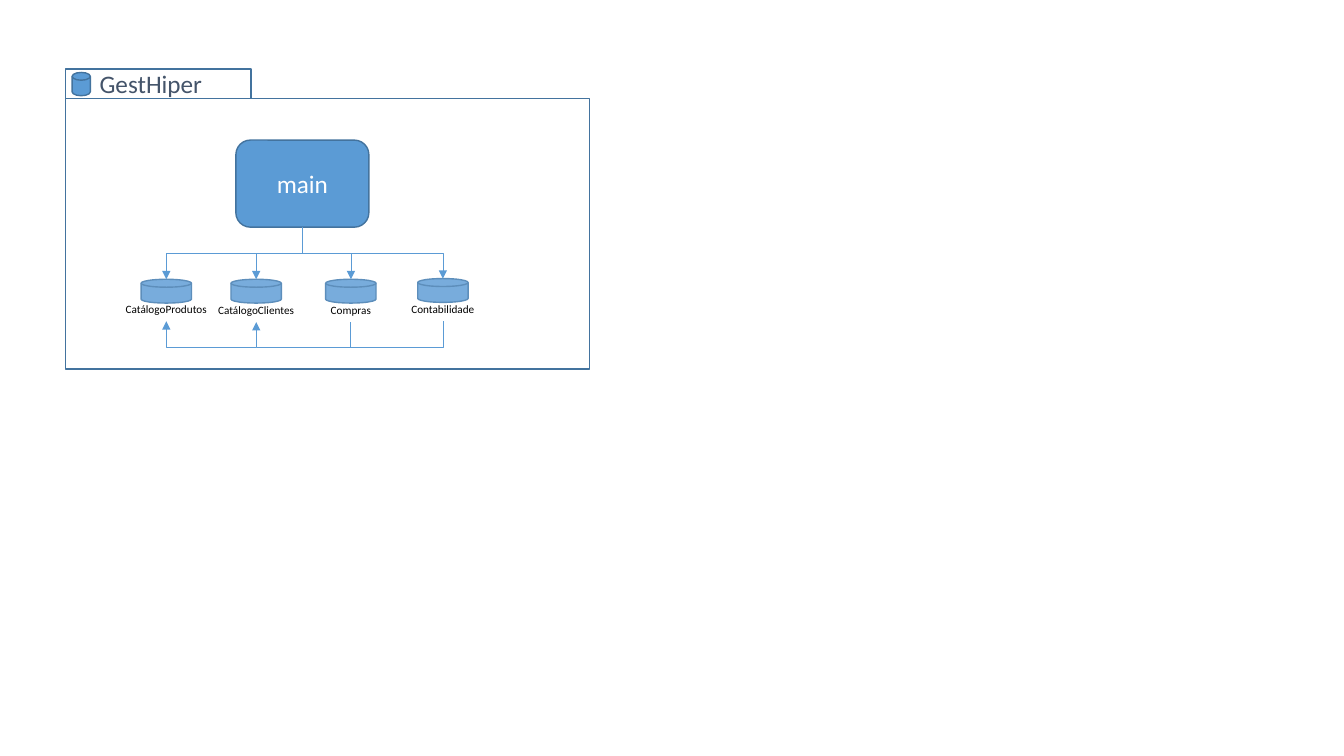
"""Draw the GestHiper package diagram: a main module and its four data stores."""
from dataclasses import dataclass
from typing import NamedTuple, Optional

from lxml.etree import SubElement
from pptx import Presentation
from pptx.dml.color import RGBColor as RGB
from pptx.enum.shapes import MSO_CONNECTOR as Link, MSO_SHAPE as Kind
from pptx.enum.text import MSO_ANCHOR as Anchor, PP_ALIGN as Align
from pptx.oxml.ns import qn
from pptx.shapes.autoshape import Shape
from pptx.shapes.connector import Connector
from pptx.util import Pt


@dataclass(frozen=True)
class Theme:
    font: str = "Calibri"
    big: float = 18
    small: float = 8
    edge: float = 1
    thin: float = 0.5
    blue: str = "5B9BD5"
    rim: str = "43739E"
    pale: str = "78ACDC"
    soft: str = "5D8EBB"
    slate: str = "44546A"
    black: str = "000000"
    white: str = "FFFFFF"


class Box(NamedTuple):
    left: float
    top: float
    width: float
    height: float


class Point(NamedTuple):
    x: float
    y: float


class Store(NamedTuple):
    name: str
    mid: float
    width: float
    top: float
    label: float


theme = Theme()
deck = Presentation()
deck.slide_width, deck.slide_height = Pt(960), Pt(540)
slide = deck.slides.add_slide(deck.slide_layouts[6])
shapes = slide.shapes


def write(shape: Shape, text: str, *, size: float, color: str,
          align: Align = Align.LEFT, anchor: Anchor = Anchor.TOP,
          wrap: bool = False) -> None:
    frame = shape.text_frame
    frame.word_wrap = wrap
    frame.vertical_anchor = anchor
    para = frame.paragraphs[0]
    para.alignment = align
    run = para.add_run()
    run.text = text
    run.font.name = theme.font
    run.font.size = Pt(size)
    run.font.color.rgb = RGB.from_string(color)


def draw(kind: Kind, box: Box, fill: Optional[str] = None,
         line: str = theme.rim) -> Shape:
    shape = shapes.add_shape(kind, *map(Pt, box))
    shape.shadow.inherit = False
    if fill:
        shape.fill.solid()
        shape.fill.fore_color.rgb = RGB.from_string(fill)
    else:
        shape.fill.background()
    shape.line.color.rgb = RGB.from_string(line)
    shape.line.width = Pt(theme.edge)
    return shape


def label(box: Box, text: str, **style) -> None:
    write(shapes.add_textbox(*map(Pt, box)), text, **style)


def style(link: Connector, head: bool) -> None:
    link.line.color.rgb = RGB.from_string(theme.blue)
    link.line.width = Pt(theme.thin)
    if head:
        SubElement(link.line._get_or_add_ln(), qn("a:tailEnd"), type="triangle")
    SubElement(link._element.spPr, qn("a:effectLst"))


def straight(start: Point, end: Point) -> None:
    style(shapes.add_connector(Link.STRAIGHT, *map(Pt, start + end)), False)


def bend(start: Point, end: Point, turn: int, *, corner: bool = False,
         head: bool = True) -> None:
    wide, high = abs(end.x - start.x), abs(end.y - start.y)
    if turn % 180:
        wide, high = high, wide
    left = (start.x + end.x - wide) / 2
    top = (start.y + end.y - high) / 2
    right, base = left + wide, top + high
    if turn == 270:
        left, right = right, left
    link = shapes.add_connector(Link.ELBOW, *map(Pt, (left, top, right, base)))
    link.rotation = turn
    if corner:
        link._element.spPr.prstGeom.set("prst", "bentConnector2")
    style(link, head)


STORES = [
    Store("CatálogoProdutos", 118.8, 73.4, 199.5, 212.4),
    Store("CatálogoClientes", 183, 69.8, 199.5, 213.1),
    Store("Compras", 250.6, 43.9, 199.5, 213.1),
    Store("Contabilidade", 316.4, 60.5, 199, 212.4),
]
TALL, RAIL = 17, 248.4

draw(Kind.RECTANGLE, Box(46.8, 70.2, 374.4, 193.4))
draw(Kind.RECTANGLE, Box(46.8, 49.4, 132.5, 20.8))
draw(Kind.FLOWCHART_MAGNETIC_DISK, Box(51.5, 51.8, 13, 16.6), theme.blue)
label(Box(64.1, 45.4, 88.6, 29), "GestHiper", size=theme.big, color=theme.slate)

for store in STORES:
    draw(Kind.FLOWCHART_MAGNETIC_DISK,
         Box(store.mid - 18, store.top, 36, TALL), theme.pale, theme.soft)
    label(Box(store.mid - store.width / 2, store.label, store.width, TALL),
          store.name, size=theme.small, color=theme.black, align=Align.CENTER)

main = Box(168.5, 100.1, 95, 62.2)
write(draw(Kind.FLOWCHART_ALTERNATE_PROCESS, main, theme.blue), "main",
      size=theme.big, color=theme.white, align=Align.CENTER,
      anchor=Anchor.MIDDLE, wrap=True)

root = Point(main.left + main.width / 2, main.top + main.height)
for store in STORES:
    bend(root, Point(store.mid, store.top), 90 if store.mid < root.x else 270)

feet = [Point(store.mid, store.label + TALL) for store in STORES]
rails = [Point(foot.x, RAIL) for foot in feet]
bend(feet[3], rails[2], 90, corner=True, head=False)
straight(feet[2], rails[2])
for spot in (1, 0):
    bend(rails[spot + 1], feet[spot], 180, corner=True)

deck.save("out.pptx")
